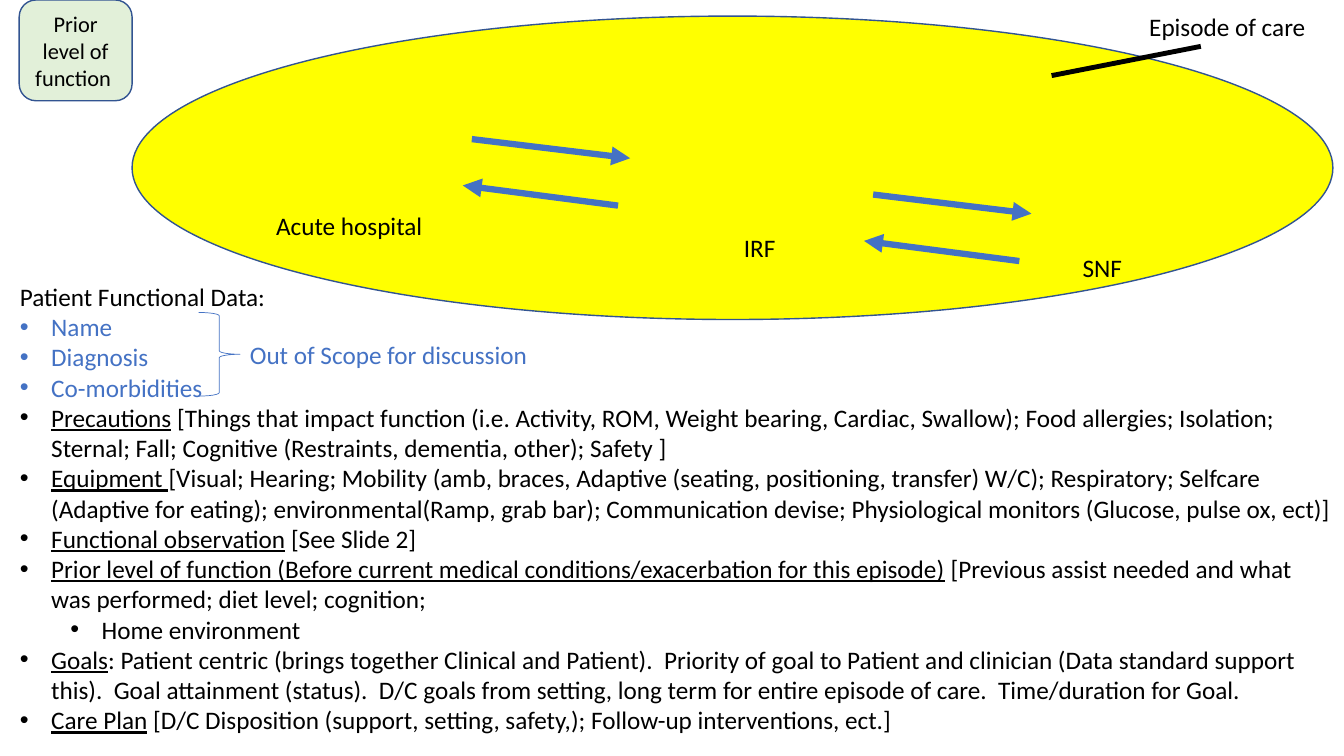
from collections import namedtuple
from pptx import Presentation
from pptx.dml.color import RGBColor
from pptx.enum.shapes import MSO_CONNECTOR as Connector, MSO_SHAPE as Shape
from pptx.enum.text import MSO_ANCHOR as Anchor, MSO_AUTO_SIZE as AutoSize, PP_ALIGN as Align
from pptx.oxml.ns import qn
from pptx.util import Pt
from lxml.etree import SubElement

Theme = namedtuple("Theme", "font black blue outline yellow green body small")
THEME = Theme("Calibri", "000000", "4472C4", "325491", "FFFF00", "E2F0D9", 18, 16)
PX = 9144

EPISODE_OVAL = (131, 16, 1191, 301)
PRIOR_LEVEL = ("Prior level of function ", (19, 0, 112, 100))
SCOPE_BRACE = (197, 310, 41, 83)
SETTINGS = [
    ("Acute hospital", (264, 204, 197, 40)),
    ("IRF", (728, 226, 73, 40)),
    ("SNF", (1064, 245, 73, 40)),
]
EPISODE_LABEL = ("Episode of care", (1130, 6, 177, 40))
SCOPE_LABEL = ("Out of Scope for discussion", (238, 332, 327, 40))
EPISODE_POINTER = ((1043, 75), (1191, 46))
TRANSFER_ORIGINS = [(468, 138), (866, 193)]
TRANSFER_OUT = ((0, 0), (157, 19))
TRANSFER_BACK = ((145, 66), (-9, 46))

DATA_BOX = (10, 274, 1324, 495)
DATA_HEADING = "Patient Functional Data:"
OUT_OF_SCOPE = ["Name", "Diagnosis", "Co-morbidities"]
DATA_ITEMS = [
    (0, "Precautions", " [Things that impact function (i.e. Activity, ROM, Weight bearing, Cardiac, Swallow); "
     "Food allergies; Isolation; Sternal; Fall; Cognitive (Restraints, dementia, other); Safety ]"),
    (0, "Equipment ", "[Visual; Hearing; Mobility (amb, braces, Adaptive (seating, positioning, transfer) W/C); "
     "Respiratory; Selfcare (Adaptive for eating); environmental(Ramp, grab bar); Communication devise; "
     "Physiological monitors (Glucose, pulse ox, ect)]"),
    (0, "Functional observation", " [See Slide 2]"),
    (0, "Prior level of function (Before current medical conditions/exacerbation for this episode)",
     " [Previous assist needed and what was performed; diet level; cognition;"),
    (1, "", "Home environment"),
    (0, "Goals", ": Patient centric (brings together Clinical and Patient).  Priority of goal to Patient and "
     "clinician (Data standard support this).  Goal attainment (status).  D/C goals from setting, long term "
     "for entire episode of care.  Time/duration for Goal."),
    (0, "Care Plan", " [D/C Disposition (support, setting, safety,); Follow-up interventions, ect.]"),
]
BULLET_INDENT, LEVEL_STEP = 31, 50


def emu(lengths):
    return [length * PX for length in lengths]


def write(paragraph, text, size=THEME.body, color=THEME.black, underline=False):
    run = paragraph.add_run()
    run.text = text
    run.font.name = THEME.font
    run.font.size = Pt(size)
    run.font.color.rgb = RGBColor.from_string(color)
    if underline:
        run.font.underline = True


def add_bullet(paragraph, level=0):
    paragraph.level = level
    props = paragraph._p.get_or_add_pPr()
    props.set("marL", str((BULLET_INDENT + level * LEVEL_STEP) * PX))
    props.set("indent", str(-BULLET_INDENT * PX))
    SubElement(props, qn("a:buFont")).set("typeface", "Arial")
    SubElement(props, qn("a:buChar")).set("char", "•")


def add_frame(slide, place, wrap=True):
    frame = slide.shapes.add_textbox(*emu(place)).text_frame
    frame.word_wrap = wrap
    frame.auto_size = AutoSize.SHAPE_TO_FIT_TEXT
    return frame


def add_label(slide, text, place, wrap=True, color=THEME.black):
    write(add_frame(slide, place, wrap).paragraphs[0], text, color=color)


def add_outline(slide, kind, place, line, width, fill=None):
    shape = slide.shapes.add_shape(kind, *emu(place))
    shape.shadow.inherit = False
    if fill:
        shape.fill.solid()
        shape.fill.fore_color.rgb = RGBColor.from_string(fill)
    else:
        shape.fill.background()
    shape.line.color.rgb = RGBColor.from_string(line)
    shape.line.width = Pt(width)
    return shape


def add_line(slide, start, end, color, width, arrow=False):
    line = slide.shapes.add_connector(Connector.STRAIGHT, *emu(start + end))
    line.line.color.rgb = RGBColor.from_string(color)
    line.line.width = Pt(width)
    if arrow:
        SubElement(line.line._get_or_add_ln(), qn("a:tailEnd")).set("type", "triangle")
    SubElement(line._element.spPr, qn("a:effectLst"))


def add_patient_data(slide):
    frame = add_frame(slide, DATA_BOX)
    write(frame.paragraphs[0], DATA_HEADING)
    for item in OUT_OF_SCOPE:
        paragraph = frame.add_paragraph()
        add_bullet(paragraph)
        write(paragraph, item, color=THEME.blue)
    for level, topic, detail in DATA_ITEMS:
        paragraph = frame.add_paragraph()
        add_bullet(paragraph, level)
        if topic:
            write(paragraph, topic, underline=True)
        write(paragraph, detail)


def main():
    deck = Presentation()
    deck.slide_width, deck.slide_height = emu((1333, 750))
    slide = deck.slides.add_slide(deck.slide_layouts[6])

    add_outline(slide, Shape.OVAL, EPISODE_OVAL, THEME.outline, 1, THEME.yellow)
    for setting, place in SETTINGS:
        add_label(slide, setting, place)
    add_patient_data(slide)
    for left, top in TRANSFER_ORIGINS:
        for transfer in (TRANSFER_OUT, TRANSFER_BACK):
            start, end = [(left + dx, top + dy) for dx, dy in transfer]
            add_line(slide, start, end, THEME.blue, 4.5, arrow=True)
    add_line(slide, *EPISODE_POINTER, THEME.black, 3.5)
    add_label(slide, *EPISODE_LABEL, wrap=False)

    prior_text, prior_place = PRIOR_LEVEL
    prior = add_outline(slide, Shape.ROUNDED_RECTANGLE, prior_place, THEME.outline, 1, THEME.green).text_frame
    prior.word_wrap = True
    prior.vertical_anchor = Anchor.MIDDLE
    prior.paragraphs[0].alignment = Align.CENTER
    write(prior.paragraphs[0], prior_text, size=THEME.small)

    add_outline(slide, Shape.RIGHT_BRACE, SCOPE_BRACE, THEME.blue, 0.5)
    add_label(slide, *SCOPE_LABEL, color=THEME.blue)
    deck.save("out.pptx")


if __name__ == "__main__":
    main()
